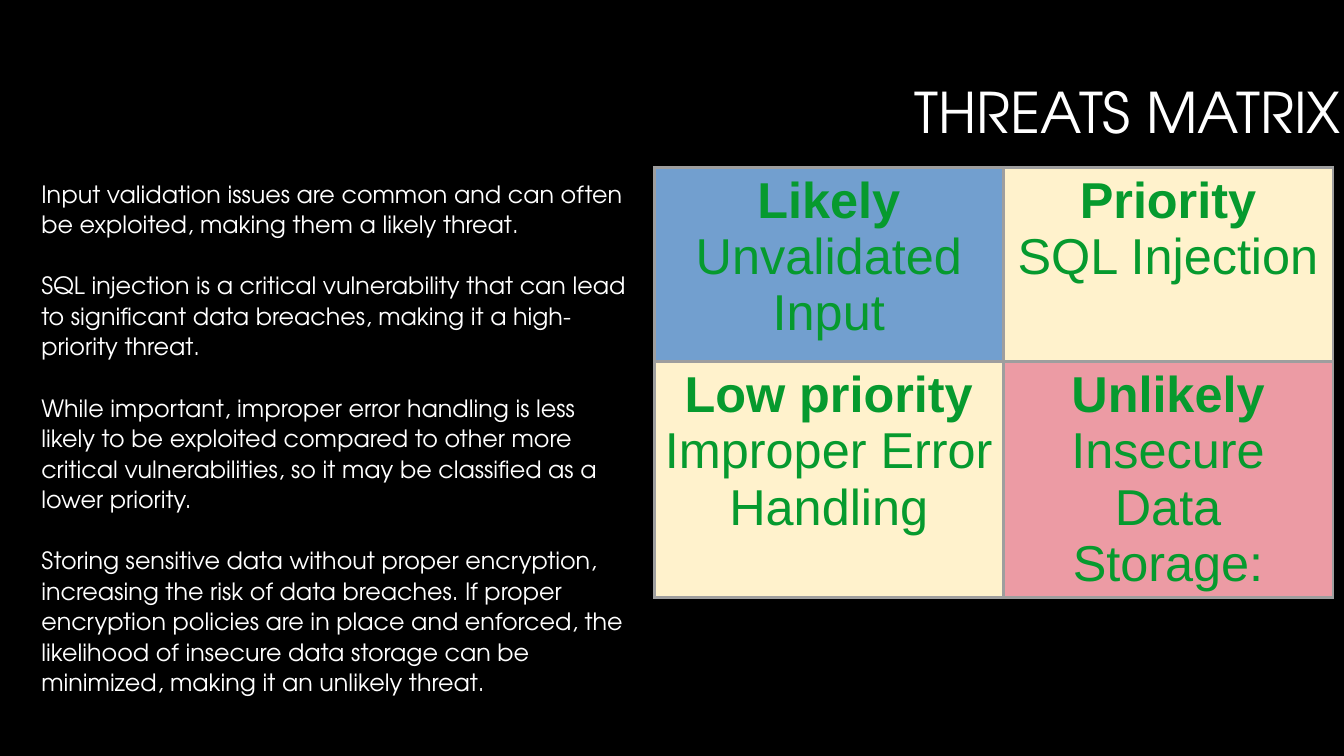
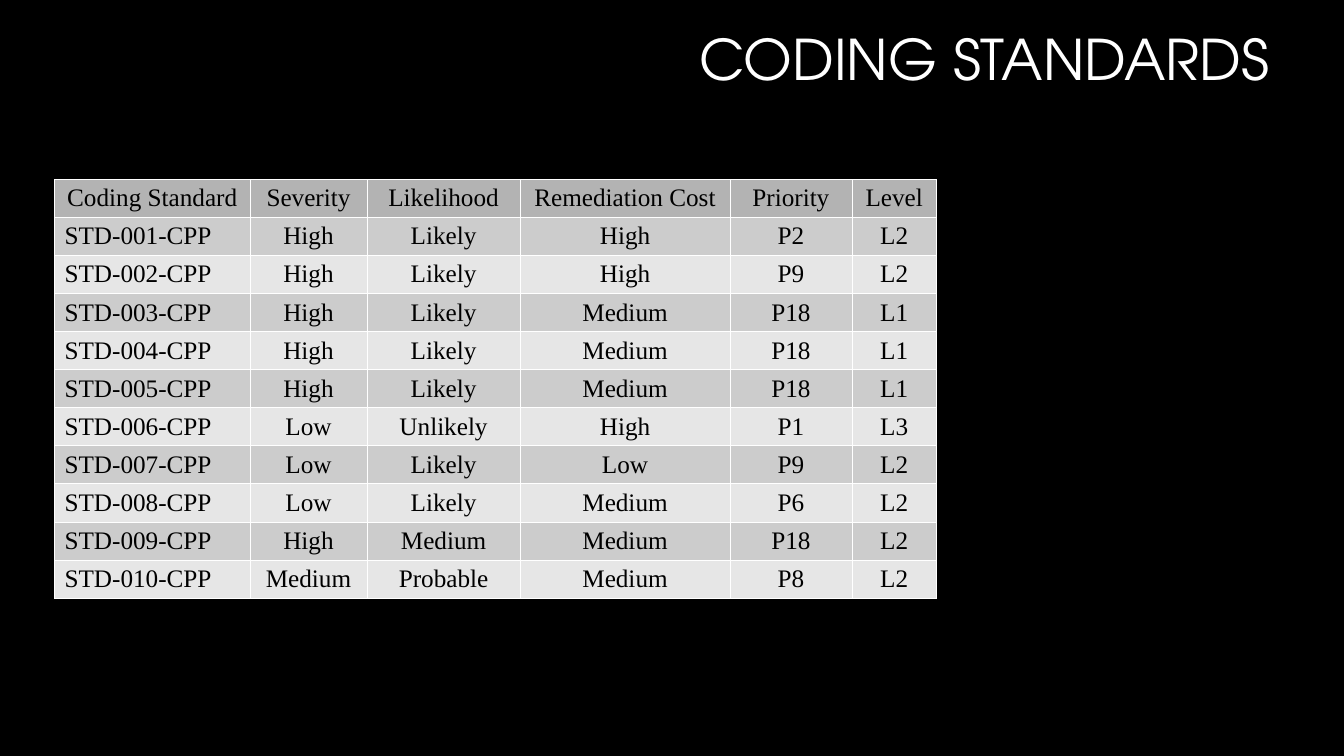
from lxml.etree import SubElement
from pptx import Presentation
from pptx.dml.color import RGBColor
from pptx.enum.text import MSO_ANCHOR, MSO_AUTO_SIZE, PP_ALIGN
from pptx.oxml.ns import qn
from pptx.util import Inches, Pt

COLORS = {
    "background": "000000", "text": "FFFFFF",
    "matrix_text": "069A2E", "matrix_border": "9E9E9E",
    "likely": "729FCF", "priority": "FFF2CC", "low": "FFF2CC", "unlikely": "EC9BA4",
    "grid_text": "000000", "grid_border": "FFFFFF",
    "header": "B3B3B3", "odd": "CCCCCC", "even": "E6E6E6",
}
SLIDE_FONT = "TeX Gyre Adventor"

THREAT_NOTES = [
    "Input validation issues are common and can often be exploited, making them a likely threat.",
    "SQL injection is a critical vulnerability that can lead to significant data breaches, "
    "making it a high-priority threat.",
    "While important, improper error handling is less likely to be exploited compared to other "
    "more critical vulnerabilities, so it may be classified as a lower priority.",
    "Storing sensitive data without proper encryption, increasing the risk of data breaches. "
    "If proper encryption policies are in place and enforced, the likelihood of insecure data "
    "storage can be minimized, making it an unlikely threat.",
]
MATRIX = [
    [("Likely", "Unvalidated Input", "likely"), ("Priority", "SQL Injection", "priority")],
    [("Low priority", "Improper Error Handling", "low"),
     ("Unlikely", "Insecure Data Storage:", "unlikely")],
]
MATRIX_COLS = [3.46, 3.27]
MATRIX_ROWS = [1.93, 2.34]

STANDARDS = [
    ("Coding Standard", "Severity", "Likelihood", "Remediation Cost", "Priority", "Level"),
    ("STD-001-CPP", "High", "Likely", "High", "P2", "L2"),
    ("STD-002-CPP", "High", "Likely", "High", "P9", "L2"),
    ("STD-003-CPP", "High", "Likely", "Medium", "P18", "L1"),
    ("STD-004-CPP", "High", "Likely", "Medium", "P18", "L1"),
    ("STD-005-CPP", "High", "Likely", "Medium", "P18", "L1"),
    ("STD-006-CPP", "Low", "Unlikely", "High", "P1", "L3"),
    ("STD-007-CPP", "Low", "Likely", "Low", "P9", "L2"),
    ("STD-008-CPP", "Low", "Likely", "Medium", "P6", "L2"),
    ("STD-009-CPP", "High", "Medium", "Medium", "P18", "L2"),
    ("STD-010-CPP", "Medium", "Probable", "Medium", "P8", "L2"),
]
STANDARDS_COLS = [1.94, 1.16, 1.52, 2.08, 1.21, 0.84]
STANDARDS_HEIGHT = 4.15


def rgb(name):
    return RGBColor.from_string(COLORS[name])


def style(p, font, size, color, align=PP_ALIGN.LEFT, bold=False):
    p.alignment = align
    p.font.name, p.font.size, p.font.bold = font, Pt(size), bold
    p.font.color.rgb = rgb(color)


def clear_frame(tf):
    """Wrap the text, without margins or automatic sizing."""
    tf.word_wrap = True
    tf.auto_size = MSO_AUTO_SIZE.NONE
    tf.margin_left = tf.margin_top = tf.margin_right = tf.margin_bottom = 0


def add_titled_slide(prs, title, left, top, height):
    s = prs.slides.add_slide(prs.slide_layouts[5])
    sp = s.shapes.title
    sp.left, sp.top, sp.width, sp.height = (Inches(v) for v in (left, top, 9.42, height))
    tf = sp.text_frame
    tf.text = title
    clear_frame(tf)
    tf.vertical_anchor = MSO_ANCHOR.MIDDLE
    p = tf.paragraphs[0]
    p.line_spacing = 0.9
    style(p, SLIDE_FONT, 40, "text", PP_ALIGN.RIGHT)
    return s


def add_plain_table(s, left, top, cols, rows):
    """Add a table without style bands, with the given widths and heights in inches."""
    table = s.shapes.add_table(len(rows), len(cols), Inches(left), Inches(top),
                               Inches(sum(cols)), Inches(sum(rows))).table
    table.first_row = table.horz_banding = False
    for col, width in zip(table.columns, cols):
        col.width = Inches(width)
    for row, height in zip(table.rows, rows):
        row.height = Inches(height)
    return table


def format_cell(cell, fill, border, width):
    tcPr = cell._tc.get_or_add_tcPr()
    for side in ("lnL", "lnR", "lnT", "lnB"):
        ln = SubElement(tcPr, qn(f"a:{side}"), w=str(Pt(width)))
        SubElement(SubElement(ln, qn("a:solidFill")), qn("a:srgbClr"), val=COLORS[border])
    cell.fill.solid()
    cell.fill.fore_color.rgb = rgb(fill)


def build_threats(prs):
    s = add_titled_slide(prs, "THREATS MATRIX", 3.88, 0.44, 1.41)
    tf = s.shapes.add_textbox(Inches(0.41), Inches(1.76), Inches(5.84), Inches(5.19)).text_frame
    clear_frame(tf)
    tf.text = "\n".join(THREAT_NOTES)
    for p in tf.paragraphs:
        p.line_spacing = 1.07
        p.space_after = Pt(21.8)
        style(p, SLIDE_FONT, 17, "text")

    table = add_plain_table(s, 6.49, 1.66, MATRIX_COLS, MATRIX_ROWS)
    for r, row in enumerate(MATRIX):
        for c, (rating, threat, fill) in enumerate(row):
            cell = table.cell(r, c)
            cell.text = f"{rating}\n{threat}"
            for i, p in enumerate(cell.text_frame.paragraphs):
                style(p, "Arial", 36, "matrix_text", PP_ALIGN.CENTER, bold=i == 0)
            format_cell(cell, fill, "matrix_border", 2.21)


def build_standards(prs):
    s = add_titled_slide(prs, "CODING STANDARDS", 3.17, 0.13, 0.98)
    count = len(STANDARDS)
    table = add_plain_table(s, 0.54, 1.78, STANDARDS_COLS, [STANDARDS_HEIGHT / count] * count)
    for r, row in enumerate(STANDARDS):
        fill = "header" if r == 0 else "odd" if r % 2 else "even"
        for c, value in enumerate(row):
            cell = table.cell(r, c)
            cell.text = value
            align = PP_ALIGN.LEFT if r and c == 0 else PP_ALIGN.CENTER
            style(cell.text_frame.paragraphs[0], "Times New Roman", 18, "grid_text", align)
            format_cell(cell, fill, "grid_border", 0.06)


def main():
    prs = Presentation()
    prs.slide_width, prs.slide_height = Inches(13.33), Inches(7.5)
    background = prs.slide_master.background.fill
    background.solid()
    background.fore_color.rgb = rgb("background")
    build_threats(prs)
    build_standards(prs)
    prs.save("out.pptx")


if __name__ == "__main__":
    main()
